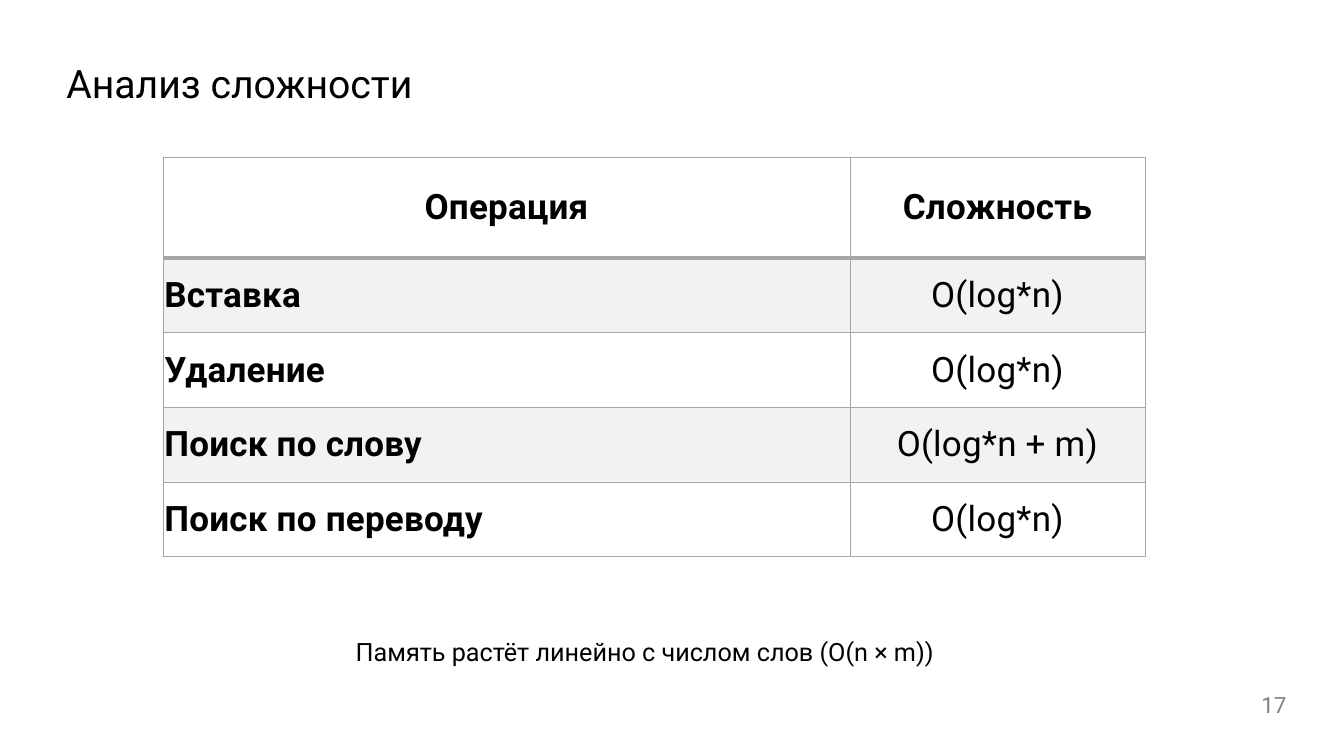
from lxml.etree import SubElement
from pptx import Presentation
from pptx.dml.color import RGBColor as RGB
from pptx.enum.text import MSO_ANCHOR as ANCHOR, PP_ALIGN as ALIGN
from pptx.oxml.ns import qn
from pptx.util import Pt

# Content
TITLE = "Анализ сложности"
HEADER = ("Операция", "Сложность")
OPERATIONS = [
    ("Вставка", "O(log*n)"),
    ("Удаление", "O(log*n)"),
    ("Поиск по слову", "O(log*n + m)"),
    ("Поиск по переводу", "O(log*n)"),
]
MEMORY_NOTE = "Память растёт линейно с числом слов (O(n × m))"
PAGE = "17"

THEME = {
    "font": "Roboto",
    "ink": "000000", "muted": "808080", "rule": "A6A6A6", "band": "F2F2F2",
    "title": 28, "table": 25, "note": 18, "page": 16,
    "thin": 0.25, "thick": 3, "tracking": 20,
}

# Layout, in points
SLIDE = (960, 540)
TITLE_BOX = (40.3, 42.5, 745, 40.3)
NOTE_BOX = (247, 440, 440, 36.7)
PAGE_BOX = (710, 488.9, 216, 28.8)
TABLE_AT = (116.7, 112.3)
COLUMNS = (490.3, 211)
HEADER_HEIGHT, ROW_HEIGHT = 72, 53.3
HEADER_INSETS = [(4.3, 0, 4.3, 0), (0, 0, 0, 0)]
BODY_INSETS = (0.7, 0.7, 0.7, 0)


def write(tf, text, size, color="ink", bold=False, **paragraph):
    p = tf.paragraphs[0]
    for name, value in paragraph.items():
        setattr(p, name, value)
    r = p.add_run()
    r.text = text
    style = {"name": THEME["font"], "size": Pt(THEME[size]), "bold": bold}
    for name, value in style.items():
        setattr(r.font, name, value)
    r.font.color.rgb = RGB.from_string(THEME[color])
    return r


def add_text(s, box, text, size, color="ink", anchor=ANCHOR.TOP, **paragraph):
    tf = s.shapes.add_textbox(*map(Pt, box)).text_frame
    tf.word_wrap = True
    tf.vertical_anchor = anchor
    write(tf, text, size, color, **paragraph)


def set_borders(cell, **widths):
    tc_pr = cell._tc.get_or_add_tcPr()
    for side in ("L", "R", "T", "B"):
        width = Pt(widths.get(side, THEME["thin"]))
        ln = SubElement(tc_pr, qn(f"a:ln{side}"), w=str(int(width)))
        fill = SubElement(ln, qn("a:solidFill"))
        SubElement(fill, qn("a:srgbClr"), val=THEME["rule"])


def add_complexity_table(s):
    rows = [HEADER, *OPERATIONS]
    heights = [HEADER_HEIGHT] + [ROW_HEIGHT] * len(OPERATIONS)
    size = (sum(COLUMNS), sum(heights))
    table = s.shapes.add_table(len(rows), len(COLUMNS),
                               *map(Pt, TABLE_AT + size)).table
    table.horz_banding = table.first_row = False
    for column, width in zip(table.columns, COLUMNS):
        column.width = Pt(width)
    for i, (row, height) in enumerate(zip(rows, heights)):
        table.rows[i].height = Pt(height)
        for j, text in enumerate(row):
            cell = table.cell(i, j)
            header, label = i == 0, j == 0
            insets = HEADER_INSETS[j] if header else BODY_INSETS
            for side, inset in zip(("left", "top", "right", "bottom"), insets):
                setattr(cell, f"margin_{side}", Pt(inset))
            cell.vertical_anchor = ANCHOR.MIDDLE
            # The heavy rule separates the header from the first row
            heavy = {0: "B", 1: "T"}.get(i)
            set_borders(cell, **({heavy: THEME["thick"]} if heavy else {}))
            if i % 2:
                cell.fill.solid()
                cell.fill.fore_color.rgb = RGB.from_string(THEME["band"])
            else:
                cell.fill.background()
            align = ALIGN.LEFT if label and not header else ALIGN.CENTER
            r = write(cell.text_frame, text, "table", bold=header or label,
                      alignment=align)
            r.font._element.set("spc", str(THEME["tracking"]))


def main():
    prs = Presentation()
    prs.slide_width, prs.slide_height = map(Pt, SLIDE)
    s = prs.slides.add_slide(prs.slide_layouts[6])

    # Page number, title and note
    add_text(s, PAGE_BOX, PAGE, "page", "muted", ANCHOR.MIDDLE,
             alignment=ALIGN.RIGHT)
    add_text(s, TITLE_BOX, TITLE, "title", line_spacing=0.9)
    add_text(s, NOTE_BOX, MEMORY_NOTE, "note", alignment=ALIGN.JUSTIFY,
             line_spacing=1.5)

    # Complexity of each operation
    add_complexity_table(s)
    prs.save("out.pptx")


if __name__ == "__main__":
    main()
